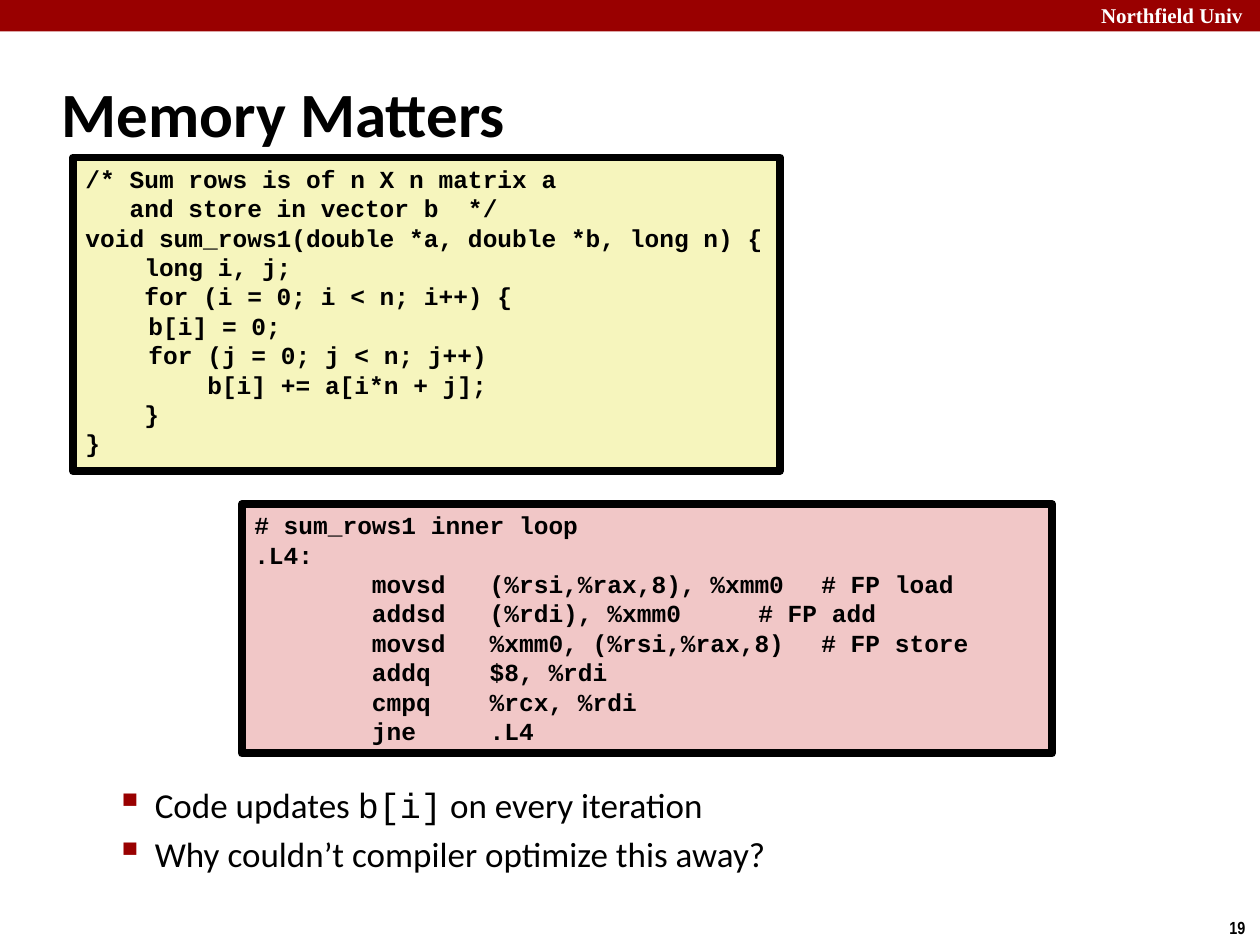
"""Build the slide on memory access inside a row-sum loop."""
from dataclasses import dataclass

from lxml import etree
from pptx import Presentation, util as u
from pptx.dml.color import RGBColor
from pptx.enum import shapes, text
from pptx.oxml import ns
from pptx.util import Inches

COLORS = {
    "banner": "990000", "white": "FFFFFF", "black": "000000",
    "source": "F6F5BD", "assembly": "F1C7C7",
}
CODE_FONT = "Courier New"
BODY_FONT = "Calibri"

SOURCE_CODE = """/* Sum rows is of n X n matrix a
   and store in vector b  */
void sum_rows1(double *a, double *b, long n) {
    long i, j;
    for (i = 0; i < n; i++) {
\tb[i] = 0;
\tfor (j = 0; j < n; j++)
\t    b[i] += a[i*n + j];
    }
}"""
ASSEMBLY_CODE = """# sum_rows1 inner loop
.L4:
        movsd   (%rsi,%rax,8), %xmm0\t# FP load
        addsd   (%rdi), %xmm0\t\t# FP add
        movsd   %xmm0, (%rsi,%rax,8)\t# FP store
        addq    $8, %rdi
        cmpq    %rcx, %rdi
        jne     .L4"""


@dataclass
class Box:
    left: float
    top: float
    width: float
    height: float

    def lengths(self) -> tuple:
        return tuple(map(Inches, (self.left, self.top, self.width, self.height)))


@dataclass
class CodeBox:
    box: Box
    fill: str
    code: str


@dataclass
class Label:
    box: Box
    words: str
    font: str
    size: int
    color: str
    wrap: bool


CODE_BOXES = [
    CodeBox(Box(1.92, 4, 6.43, 1.98), "assembly", ASSEMBLY_CODE),
    CodeBox(Box(0.58, 1.25, 5.61, 2.49), "source", SOURCE_CODE),
]
LABELS = [
    Label(Box(8.64, -0.03, 1.43, 0.3), "Northfield Univ", "Times New Roman", 12, "white", True),
    Label(Box(9.66, 7.23, 0.34, 0.27), "19", "Arial Narrow", 10, "black", False),
]
BULLETS = [
    [("Code updates ", BODY_FONT), ("b[i]", CODE_FONT), (" on every iteration", BODY_FONT)],
    [("Why couldn\u2019t compiler optimize this away?", BODY_FONT)],
]


def rgb(name: str) -> RGBColor:
    return RGBColor.from_string(COLORS[name])


def add_text(paragraph, words: str, *, font: str, size: int,
             color: str = "black", bold: bool = False) -> None:
    paragraph.alignment = text.PP_ALIGN.LEFT
    run = paragraph.add_run()
    run.text = words
    run.font.name = font
    run.font.size = u.Pt(size)
    run.font.bold = bold
    run.font.color.rgb = rgb(color)


def add_rectangle(slide, box: Box, fill: str):
    shape = slide.shapes.add_shape(shapes.MSO_SHAPE.RECTANGLE, *box.lengths())
    shape.shadow.inherit = False
    shape.fill.solid()
    shape.fill.fore_color.rgb = rgb(fill)
    shape.line.fill.background()
    return shape


def next_paragraph(frame, index: int):
    return frame.add_paragraph() if index else frame.paragraphs[0]


def add_code_box(slide, item: CodeBox) -> None:
    shape = add_rectangle(slide, item.box, item.fill)
    shape.line.color.rgb = rgb("black")
    shape.line.width = u.Pt(4.5)
    frame = shape.text_frame
    frame.word_wrap = False
    frame.auto_size = text.MSO_AUTO_SIZE.SHAPE_TO_FIT_TEXT
    frame.vertical_anchor = text.MSO_ANCHOR.TOP
    for index, line in enumerate(item.code.split("\n")):
        add_text(next_paragraph(frame, index), line, font=CODE_FONT, size=14, bold=True)


def add_label(slide, label: Label) -> None:
    frame = slide.shapes.add_textbox(*label.box.lengths()).text_frame
    frame.word_wrap = label.wrap
    add_text(frame.paragraphs[0], label.words, font=label.font,
             size=label.size, color=label.color, bold=True)


def set_bullet(paragraph) -> None:
    properties = paragraph._p.get_or_add_pPr()
    properties.set("marL", str(Inches(0.81)))
    properties.set("indent", str(Inches(-0.31)))
    color = etree.SubElement(properties, ns.qn("a:buClr"))
    etree.SubElement(color, ns.qn("a:srgbClr"), val=COLORS["banner"])
    etree.SubElement(properties, ns.qn("a:buSzPct"), val="110000")
    etree.SubElement(properties, ns.qn("a:buChar"), char="\u25aa")


def add_bullets(slide, box: Box) -> None:
    frame = slide.shapes.add_textbox(*box.lengths()).text_frame
    frame.word_wrap = True
    for index, pieces in enumerate(BULLETS):
        paragraph = next_paragraph(frame, index)
        paragraph.level = 1
        paragraph.space_before = u.Pt(4)
        set_bullet(paragraph)
        for words, font in pieces:
            add_text(paragraph, words, font=font, size=20)


def format_title(slide, box: Box) -> None:
    title = slide.shapes.title
    title.left, title.top, title.width, title.height = box.lengths()
    frame = title.text_frame
    frame.auto_size = text.MSO_AUTO_SIZE.NONE
    frame.vertical_anchor = text.MSO_ANCHOR.MIDDLE
    add_text(frame.paragraphs[0], "Memory Matters", font=BODY_FONT, size=36, bold=True)


def main() -> None:
    presentation = Presentation()
    presentation.slide_width, presentation.slide_height = Inches(10), Inches(7.5)
    slide = presentation.slides.add_slide(presentation.slide_layouts.get_by_name("Title Only"))
    add_rectangle(slide, Box(0, 0, 10, 0.25), "banner")
    for label in LABELS:
        add_label(slide, label)
    format_title(slide, Box(0.39, 0.48, 8.3, 0.83))
    add_bullets(slide, Box(0.32, 6.17, 9.09, 0.88))
    for item in CODE_BOXES:
        add_code_box(slide, item)
    presentation.save("out.pptx")


main()
